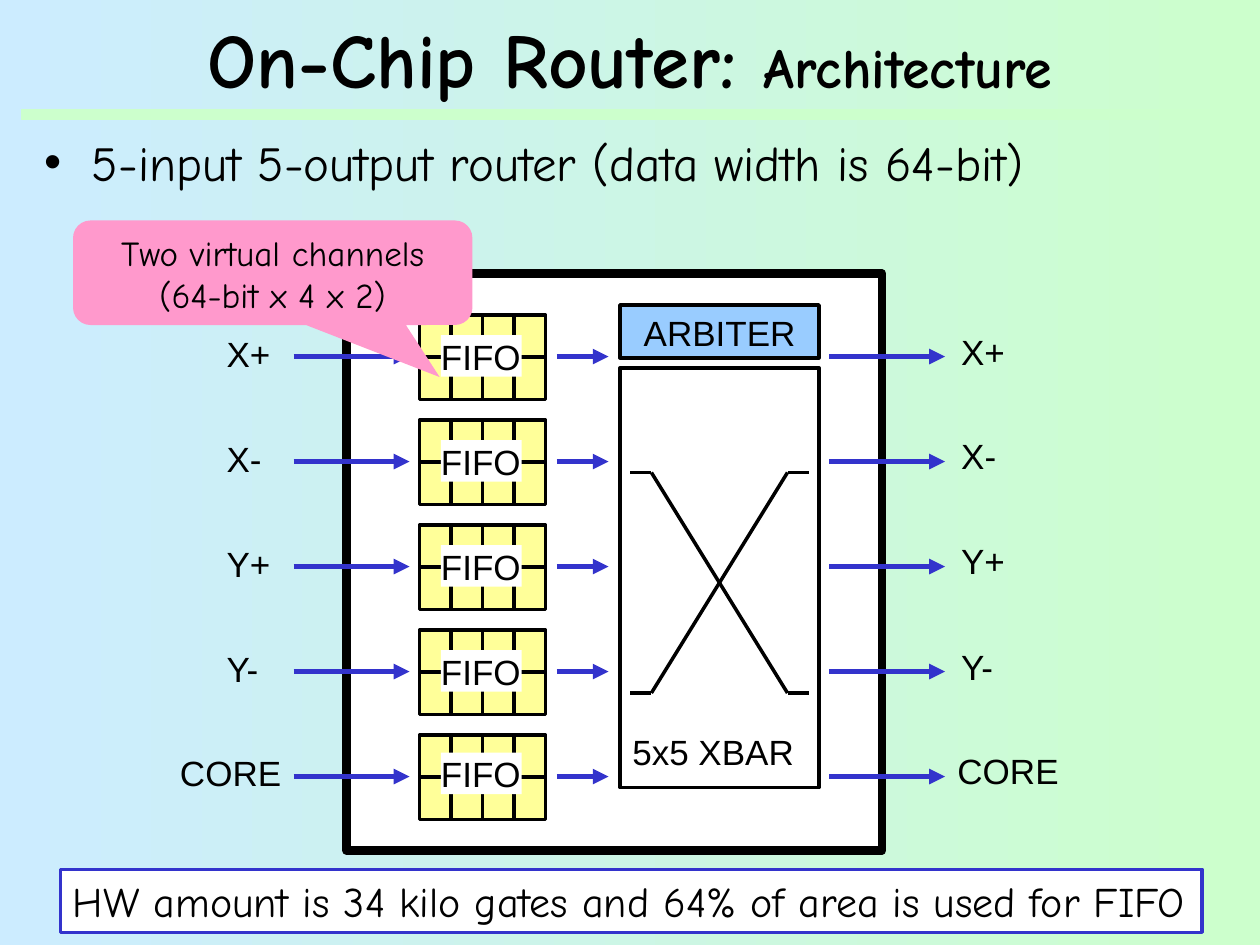
from collections import namedtuple

from lxml.etree import SubElement
from pptx import Presentation
from pptx.dml.color import RGBColor
from pptx.enum.shapes import MSO_CONNECTOR, MSO_SHAPE
from pptx.enum.text import MSO_ANCHOR, MSO_AUTO_SIZE, PP_ALIGN
from pptx.oxml.ns import qn
from pptx.util import Inches, Pt

BLACK = RGBColor(0x00, 0x00, 0x00)
WHITE = RGBColor(0xFF, 0xFF, 0xFF)
BLUE = RGBColor(0x33, 0x33, 0xCC)
SKY = RGBColor(0x99, 0xCC, 0xFF)
YELLOW = RGBColor(0xFF, 0xFF, 0x99)
PINK = RGBColor(0xFF, 0x99, 0xCC)
PALE_GREEN = RGBColor(0xCC, 0xFF, 0xCC)
PALE_BLUE = RGBColor(0xCC, 0xEC, 0xFF)
SANS, COMIC = "Arial", "Comic Neue"
PORTS = ("X+", "X-", "Y+", "Y-", "CORE")
LABEL_WIDTHS = {"X+": 0.56, "Y+": 0.56, "X-": 0.49, "Y-": 0.49, "CORE": 1.01}
ROW_PITCH = 5 / 6

Box = namedtuple("Box", "left top width height")


def apply(target, formats):
    """Set each attribute named in formats on the target."""
    for name, value in formats.items():
        setattr(target, name, value)


def place(target, box):
    """Move a shape to a box given in inches."""
    apply(target, {name: Inches(value) for name, value in box._asdict().items()})


def write(paragraph, wording, size, font=SANS, bold=False):
    """Add a formatted black run to a paragraph."""
    run = paragraph.add_run()
    run.text = wording
    apply(run.font, {"size": Pt(size), "name": font, "bold": bold})
    run.font.color.rgb = BLACK


def fill_text(shape, wording, size=20, font=SANS, before=12.5, inset=True,
              wrap=False, align=PP_ALIGN.LEFT):
    """Write one paragraph at the top of a shape."""
    across, down = (Inches(0.1), Inches(0.05)) if inset else (0, 0)
    apply(shape.text_frame, {
        "margin_left": across, "margin_right": across,
        "margin_top": down, "margin_bottom": down,
        "word_wrap": wrap, "vertical_anchor": MSO_ANCHOR.TOP,
        "auto_size": MSO_AUTO_SIZE.NONE if wrap else MSO_AUTO_SIZE.SHAPE_TO_FIT_TEXT,
    })
    paragraph = shape.text_frame.paragraphs[0]
    apply(paragraph, {"alignment": align, "space_before": Pt(before)})
    write(paragraph, wording, size, font)


def add_block(slide, box, fill, line=None, weight=2, kind=MSO_SHAPE.RECTANGLE):
    """Add a filled shape with an optional outline."""
    block = slide.shapes.add_shape(kind, *map(Inches, box))
    block.shadow.inherit = False
    block.fill.solid()
    block.fill.fore_color.rgb = fill
    if line is None:
        block.line.fill.background()
    else:
        block.line.color.rgb = line
        block.line.width = Pt(weight)
    return block


def add_label(slide, box, wording):
    """Add a plain diagram label."""
    fill_text(slide.shapes.add_textbox(*map(Inches, box)), wording)


def add_line(slide, start, end, color=BLACK, weight=2, arrow=False):
    """Add a straight line, with an arrowhead at its end if asked."""
    line = slide.shapes.add_connector(
        MSO_CONNECTOR.STRAIGHT, *map(Inches, (*start, *end)))
    line.line.color.rgb = color
    line.line.width = Pt(weight)
    if arrow:
        SubElement(line.line._get_or_add_ln(), qn("a:tailEnd"), type="triangle")
    SubElement(line._element.spPr, qn("a:effectLst"))


def add_background(slide):
    """Fill the slide with a gradient running from blue to green."""
    fill = slide.background.fill
    fill.gradient()
    fill.gradient_angle = 180
    for stop, color in zip(fill.gradient_stops, (PALE_GREEN, PALE_BLUE)):
        stop.color.rgb = color


def add_title(slide, box):
    """Fill the title placeholder and underline it with a rule."""
    title = slide.shapes.title
    place(title, box)
    apply(title.text_frame, {"vertical_anchor": MSO_ANCHOR.MIDDLE,
                             "auto_size": MSO_AUTO_SIZE.NONE})
    paragraph = title.text_frame.paragraphs[0]
    paragraph.alignment = PP_ALIGN.CENTER
    write(paragraph, "On-Chip Router: ", 44, COMIC, True)
    write(paragraph, "Architecture", 32, COMIC, True)
    rule = box.top + box.height + 0.08
    add_line(slide, (0.17, rule), (9.92, rule), PALE_GREEN, 6)


def add_summary(slide, box):
    """Fill the body placeholder with its single bullet."""
    body = slide.placeholders[1]
    place(body, box)
    fill_text(body, "5-input 5-output router (data width is 64-bit)",
              28, COMIC, before=7, wrap=True)
    properties = body.text_frame.paragraphs[0]._p.get_or_add_pPr()
    properties.set("marL", str(Inches(0.38)))
    properties.set("indent", str(-Inches(0.38)))
    SubElement(properties, qn("a:buChar"), char="•")


def add_fifo(slide, box, label_top):
    """Draw a buffer of two rows of four cells with its label."""
    width, height = box.width / 4, box.height / 2
    for row in range(2):
        for column in range(4):
            cell = Box(box.left + column * width, box.top + row * height, width, height)
            add_block(slide, cell, YELLOW, BLACK)
    label = add_block(slide, Box(box.left + 0.17, label_top, 0.64, 0.33), WHITE)
    fill_text(label, "FIFO", inset=False)


def add_crossbar(slide, box):
    """Draw the crossbar with its crossing paths and label."""
    add_block(slide, box, WHITE, BLACK)
    outer_left, left, right, outer_right = (
        box.left + offset for offset in (0.08, 0.25, 1.33, 1.5))
    upper, lower = box.top + 0.83, box.top + 2.58
    add_line(slide, (right, upper), (left, lower))
    add_line(slide, (left, upper), (right, lower))
    for level in (upper, lower):
        add_line(slide, (outer_left, level), (left, level))
        add_line(slide, (right, level), (outer_right, level))
    add_label(slide, Box(box.left, box.top + 2.83, 1.5, 0.44), "5x5 XBAR")


def add_arbiter(slide, box):
    """Draw the arbiter block and its label."""
    add_block(slide, box, SKY, BLACK)
    add_label(slide, Box(box.left + 0.09, box.top, 1.42, 0.44), "ARBITER")


def add_port(slide, box, port, middle):
    """Draw one port's row of arrows, buffer and labels."""
    is_core = port == "CORE"
    fifo = Box(box.left + 0.58, middle - 0.33, 1, 0.67)
    add_fifo(slide, fifo, middle - (0.19 if is_core else 0.17))
    for start, end in ((-0.42, 0.5), (1.67, 2.08), (3.83, 4.75)):
        add_line(slide, (box.left + start, middle), (box.left + end, middle),
                 BLUE, 3, arrow=True)
    sides = ((-1.42, 0.25), (4.75, 0.26)) if is_core else ((-1.05, 0.24), (4.78, 0.26))
    for offset, rise in sides:
        add_label(slide, Box(box.left + offset, middle - rise,
                             LABEL_WIDTHS[port], 0.44), port)


def add_router(slide, box):
    """Draw the router frame and everything in and around it."""
    add_block(slide, box, WHITE, BLACK, 5)
    add_crossbar(slide, Box(box.left + 2.17, box.top + 0.75, 1.58, 3.33))
    add_arbiter(slide, Box(box.left + 2.17, box.top + 0.25, 1.58, 0.42))
    for row, port in enumerate(PORTS):
        add_port(slide, box, port, box.top + 0.66 + row * ROW_PITCH)


def add_callout(slide, box):
    """Add the note that points at the first buffer."""
    callout = add_block(slide, box, PINK, kind=MSO_SHAPE.ROUNDED_RECTANGULAR_CALLOUT)
    for index, value in enumerate((0.418, 0.998, 0.167)):
        callout.adjustments[index] = value
    fill_text(callout, "Two virtual channels (64-bit x 4 x 2)", font=COMIC,
              wrap=True, align=PP_ALIGN.CENTER)


def add_conclusion(slide, box):
    """Add the framed statement at the foot of the slide."""
    fill_text(add_block(slide, box, WHITE, BLUE),
              "HW amount is 34 kilo gates and 64% of area is used for FIFO",
              24, COMIC, before=15)


def main():
    """Build and save the slide."""
    deck = Presentation()
    apply(deck, {"slide_width": Inches(10), "slide_height": Inches(7.5)})
    slide = deck.slides.add_slide(deck.slide_layouts[1])
    add_background(slide)
    add_title(slide, Box(0.25, 0.08, 9.5, 0.75))
    add_summary(slide, Box(0.25, 1, 9.58, 0.58))
    add_router(slide, Box(2.75, 2.17, 4.25, 4.58))
    add_callout(slide, Box(0.58, 1.75, 3.17, 0.83))
    add_conclusion(slide, Box(0.48, 6.9, 9.06, 0.5))
    deck.save("out.pptx")


if __name__ == "__main__":
    main()
